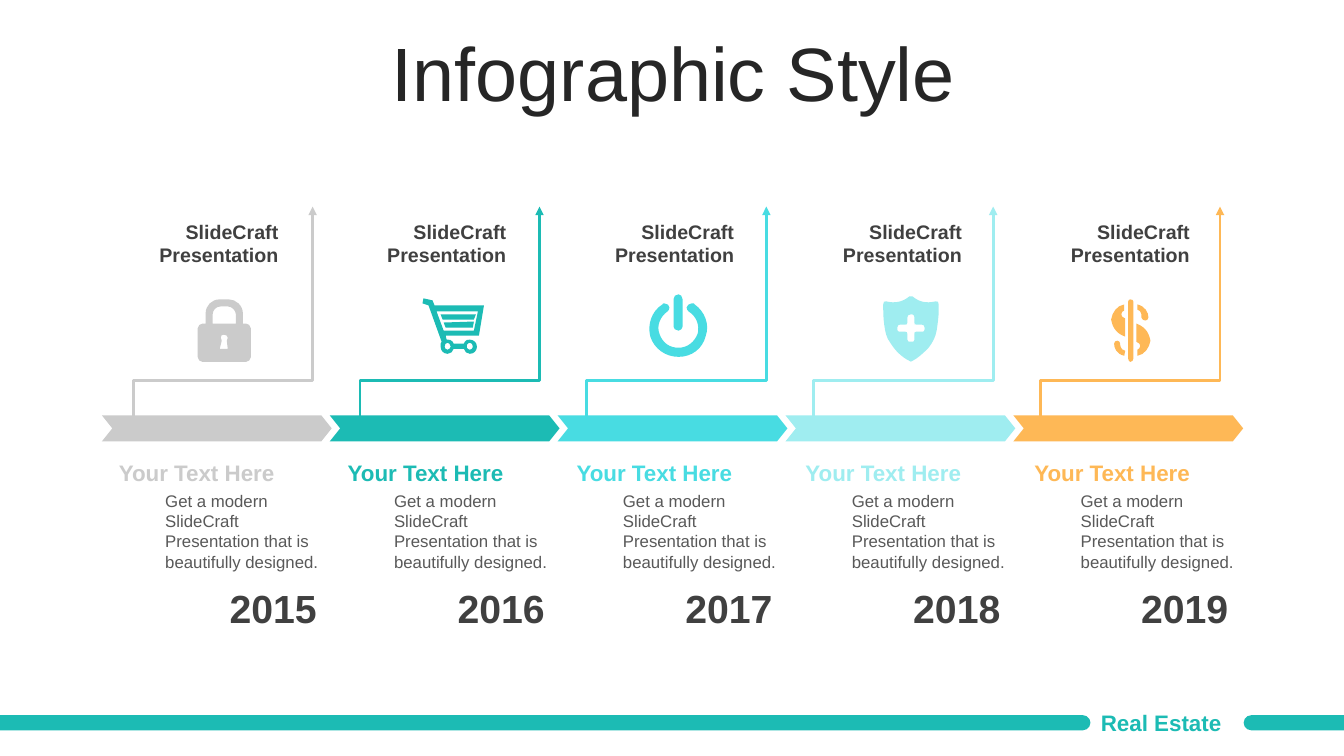
from dataclasses import dataclass

from lxml.etree import Element, SubElement
from pptx import Presentation
from pptx.dml.color import RGBColor
from pptx.enum.shapes import MSO_CONNECTOR, MSO_SHAPE
from pptx.enum.text import MSO_ANCHOR, MSO_AUTO_SIZE, PP_ALIGN
from pptx.oxml.ns import qn
from pptx.util import Inches, Pt

COLORS = {
    "gray": "CBCBCB", "teal": "1CBBB4", "cyan": "48DCE2", "aqua": "9FEDF0",
    "orange": "FEB856", "title": "262626", "strong": "404040", "body": "595959",
}

LOCK = """M 222 332 C 220 332 219 333 219 335 219 336 219 337 220 338 L 218 346 226 346 225 338
C 225 337 226 336 226 335 226 333 224 332 222 332 Z
M 219 304 C 214 304 211 308 211 312 L 211 321 234 321 234 312 C 234 308 230 304 226 304 Z
M 218 297 L 227 297 C 234 297 241 303 241 311 L 241 321 244 321 C 246 321 249 323 249 326
L 249 354 C 249 357 246 359 244 359 L 201 359 C 199 359 196 357 196 354 L 196 326
C 196 323 199 321 201 321 L 204 321 204 311 C 204 303 210 297 218 297 Z"""
CART = """M 466 340 C 465 340 464 341 463 342 L 463 345 C 464 346 465 347 466 347
468 347 469 345 469 344 469 342 468 340 466 340 Z
M 444 340 C 442 340 441 342 441 344 441 345 442 347 444 347 445 347 447 345 447 344
447 342 445 340 444 340 Z
M 470 319 L 469 325 442 325 440 320 Z M 472 312 L 470 317 439 317 437 312 Z
M 433 309 L 440 328 470 328 474 309 Z
M 420 296 L 429 298 431 303 480 303 475 333 442 333 443 337 444 337
C 446 337 447 337 449 339 L 450 341 460 341 461 339 C 462 337 464 337 466 337
470 337 473 340 473 344 473 348 470 351 466 351 463 351 461 349 460 346 L 450 346
C 449 349 447 351 444 351 440 351 437 348 437 344 437 343 437 342 437 341
L 438 339 425 303 419 301 Z"""
POWER = """M 686 301 C 687 301 688 301 688 301 689 302 689 302 689 302 699 309 704 322 700 333
697 346 686 354 673 354 660 354 649 346 645 334 642 322 646 309 657 302
657 301 658 301 659 301 662 301 664 303 664 305 664 307 663 308 662 309
655 314 651 323 654 331 657 340 664 345 673 345 682 345 689 339 692 331
694 323 691 314 683 309 682 308 681 307 681 305 681 303 684 301 686 301 Z
M 673 292 C 675 292 677 294 677 297 L 677 324 C 677 326 675 328 673 328
670 328 668 326 668 324 L 668 297 C 668 294 670 292 673 292 Z"""
SHIELD = """M 931 302 C 931 299 930 299 928 299 919 301 912 300 905 294 904 294 903 294 902 294
895 300 887 301 879 299 877 299 876 299 876 302 876 309 876 315 877 322
878 329 879 335 883 340 888 348 894 354 902 358 903 359 904 359 905 358
911 355 916 350 921 345 925 340 928 334 929 328 930 321 931 315 931 308
931 306 931 304 931 302 Z
M 915 329 L 909 329 C 907 329 907 330 907 331 L 907 337 C 907 339 906 339 904 339
L 903 339 C 901 339 900 339 900 337 L 900 334 C 900 329 900 329 895 329 L 894 329
C 890 329 890 329 890 325 890 323 891 322 893 322 L 898 322 C 899 322 900 322 900 320
L 900 315 C 900 313 901 312 903 312 L 905 312 C 906 312 907 313 907 315 L 907 320
C 907 322 907 322 909 322 L 914 322 C 916 322 917 323 917 325 L 917 327
C 917 329 916 329 915 329 Z"""
DOLLAR = """M 1136 318 C 1134 318 1133 317 1132 315 1132 313 1133 309 1128 307 L 1128 302
C 1136 304 1139 310 1139 315 1139 317 1137 318 1136 318 Z
M 1116 334 C 1105 330 1103 322 1102 317 1103 310 1108 303 1115 302 L 1115 308
C 1112 309 1110 314 1116 316 1116 322 1116 328 1116 334 Z
M 1128 353 L 1128 347 C 1131 346 1133 341 1127 339 1127 333 1127 327 1127 321
1138 325 1140 333 1141 338 1140 345 1135 352 1128 353 Z
M 1115 353 C 1107 351 1105 345 1105 341 1105 337 1111 337 1111 341 1111 342 1111 347 1116 348 Z
M 1121 359 C 1120 359 1119 357 1119 356 1119 337 1119 318 1119 299 1119 298 1120 297 1121 297
1123 297 1124 298 1124 299 L 1124 356 C 1124 357 1123 359 1121 359 Z"""


@dataclass(frozen=True)
class Milestone:
    """A year on the timeline with its colour and icon outline."""
    year: str
    color: str
    icon: str


@dataclass(frozen=True)
class Bar:
    """A footer bar rounded at one end, given before rotation."""
    left: float
    top: float
    length: float
    rotation: int


MILESTONES = [
    Milestone("2015", "gray", LOCK), Milestone("2016", "teal", CART),
    Milestone("2017", "cyan", POWER), Milestone("2018", "aqua", SHIELD),
    Milestone("2019", "orange", DOLLAR),
]
FOOTER_BARS = [Bar(5.33, 1.76, 10.82, 90), Bar(12.76, 6.67, 1, 270)]


def rgb(color: str) -> RGBColor:
    """Look up a named colour."""
    return RGBColor.from_string(COLORS[color])


def write(shape, text: str, *, size: float, color: str, bold: bool = False,
          align=PP_ALIGN.LEFT, anchor=MSO_ANCHOR.TOP,
          fit=MSO_AUTO_SIZE.SHAPE_TO_FIT_TEXT, spacing: float = 1.0) -> None:
    """Fill a shape with one formatted paragraph."""
    frame = shape.text_frame
    frame.word_wrap, frame.auto_size, frame.vertical_anchor = True, fit, anchor
    paragraph = frame.paragraphs[0]
    paragraph.alignment, paragraph.line_spacing = align, spacing
    paragraph.space_before = Pt(0)
    run = paragraph.add_run()
    run.text = text
    run.font.name, run.font.size, run.font.bold = "Arial", Pt(size), bold
    run.font.color.rgb = rgb(color)


def add_label(slide, text: str, left: float, top: float, width: float,
              height: float, **style) -> None:
    """Add a text box with one formatted paragraph."""
    label = slide.shapes.add_textbox(*map(Inches, (left, top, width, height)))
    write(label, text, **style)


def paint(shape, color: str) -> None:
    """Give a shape a flat fill without line or shadow."""
    shape.shadow.inherit = False
    shape.fill.solid()
    shape.fill.fore_color.rgb = rgb(color)
    shape.line.fill.background()


def trace(outline: str) -> list:
    """Split M, L, C and Z commands into contours of segments, each a list of points."""
    contours, command, numbers = [], "", []
    for token in outline.split():
        if token.isalpha():
            command = token
            continue
        numbers.append(Inches(int(token) / 100))
        if len(numbers) < (6 if command == "C" else 2):
            continue
        segment, numbers = list(zip(numbers[::2], numbers[1::2])), []
        if command == "M":
            contours.append([])
        contours[-1].append(segment)
    return contours


def add_icon(slide, milestone: Milestone) -> None:
    """Draw the icon of a milestone with cubic curves."""
    contours = trace(milestone.icon)
    builder = slide.shapes.build_freeform(*contours[0][0][-1])
    for index, contour in enumerate(contours):
        start, *ends = [segment[-1] for segment in contour]
        if index:
            builder.move_to(*start)
        builder.add_line_segments(ends, close=True)
    icon = builder.convert_to_shape()
    paint(icon, milestone.color)
    edges = list(icon._element.spPr.iter(qn("a:lnTo")))
    segments = [segment for contour in contours for segment in contour[1:]]
    for edge, segment in zip(edges, segments):
        if len(segment) == 3:
            bend = Element(qn("a:cubicBezTo"))
            for x, y in segment:
                SubElement(bend, qn("a:pt"), x=str(x - icon.left), y=str(y - icon.top))
            edge.getparent().replace(edge, bend)


def add_arrow(slide, left: float, color: str) -> None:
    """Draw the bent arrow that rises from a chevron."""
    top, width, height = 2.2, 2.08, 1.78
    arrow = slide.shapes.add_connector(
        MSO_CONNECTOR.ELBOW, *map(Inches, (left + width, top + height, left, top)))
    arrow.line.color.rgb = rgb(color)
    arrow.line.width = Pt(2)
    properties = arrow._element.spPr
    properties.find(qn("a:xfrm")).set("rot", "5400000")
    adjustments = properties.find(qn("a:prstGeom")).find(qn("a:avLst"))
    SubElement(adjustments, qn("a:gd"), name="adj1", fmla="val 16900")
    SubElement(properties.find(qn("a:ln")), qn("a:tailEnd"), type="triangle")
    SubElement(properties, qn("a:effectLst"))


def add_milestone(slide, index: int, milestone: Milestone) -> None:
    """Draw one column of the timeline."""
    shift, wide_shift = 2.26 * index, 2.27 * index
    chevron = slide.shapes.add_shape(
        MSO_SHAPE.CHEVRON, *map(Inches, (1.01 + shift, 4.12, 2.28, 0.26)))
    chevron.adjustments[0] = 0.4
    paint(chevron, milestone.color)
    add_arrow(slide, 1.17 + 2.25 * index, milestone.color)
    add_icon(slide, milestone)
    add_label(slide, "SlideCraft Presentation", 1.45 + shift, 2.13, 1.41, 0.57,
              size=14, color="strong", bold=True, align=PP_ALIGN.RIGHT)
    add_label(slide, "Your Text Here", 1.08 + wide_shift, 4.51, 2.28, 0.37,
              size=16, color=milestone.color, bold=True)
    add_label(slide, "Get a modern SlideCraft Presentation that is beautifully designed.",
              1.54 + wide_shift, 4.82, 1.82, 0.91, size=12, color="body")
    add_label(slide, milestone.year, 1.68 + shift, 5.75, 1.56, 0.57,
              size=28, color="strong", bold=True, align=PP_ALIGN.RIGHT)


def add_footer(slide) -> None:
    """Draw the footer bars and their caption."""
    for bar in FOOTER_BARS:
        strip = slide.shapes.add_shape(
            MSO_SHAPE.ROUND_2_SAME_RECTANGLE,
            *map(Inches, (bar.left, bar.top, 0.15, bar.length)))
        strip.adjustments[0], strip.adjustments[1] = 0.5, 0
        strip.rotation = bar.rotation
        paint(strip, "teal")
    add_label(slide, "Real Estate", 10.82, 6.98, 1.51, 0.37, size=16, color="teal",
              bold=True, align=PP_ALIGN.JUSTIFY, anchor=MSO_ANCHOR.MIDDLE)


def main() -> None:
    """Build and save the slide."""
    deck = Presentation()
    deck.slide_width, deck.slide_height = Inches(13.33), Inches(7.5)
    slide = deck.slides.add_slide(deck.slide_layouts[5])
    title = slide.shapes.title
    title.left, title.top, title.width, title.height = map(
        Inches, (0.35, 0.37, 12.66, 0.79))
    write(title, "Infographic Style", size=54, color="title", align=PP_ALIGN.CENTER,
          anchor=MSO_ANCHOR.MIDDLE, fit=MSO_AUTO_SIZE.NONE, spacing=0.9)
    add_footer(slide)
    for index, milestone in enumerate(MILESTONES):
        add_milestone(slide, index, milestone)
    deck.save("out.pptx")


if __name__ == "__main__":
    main()
